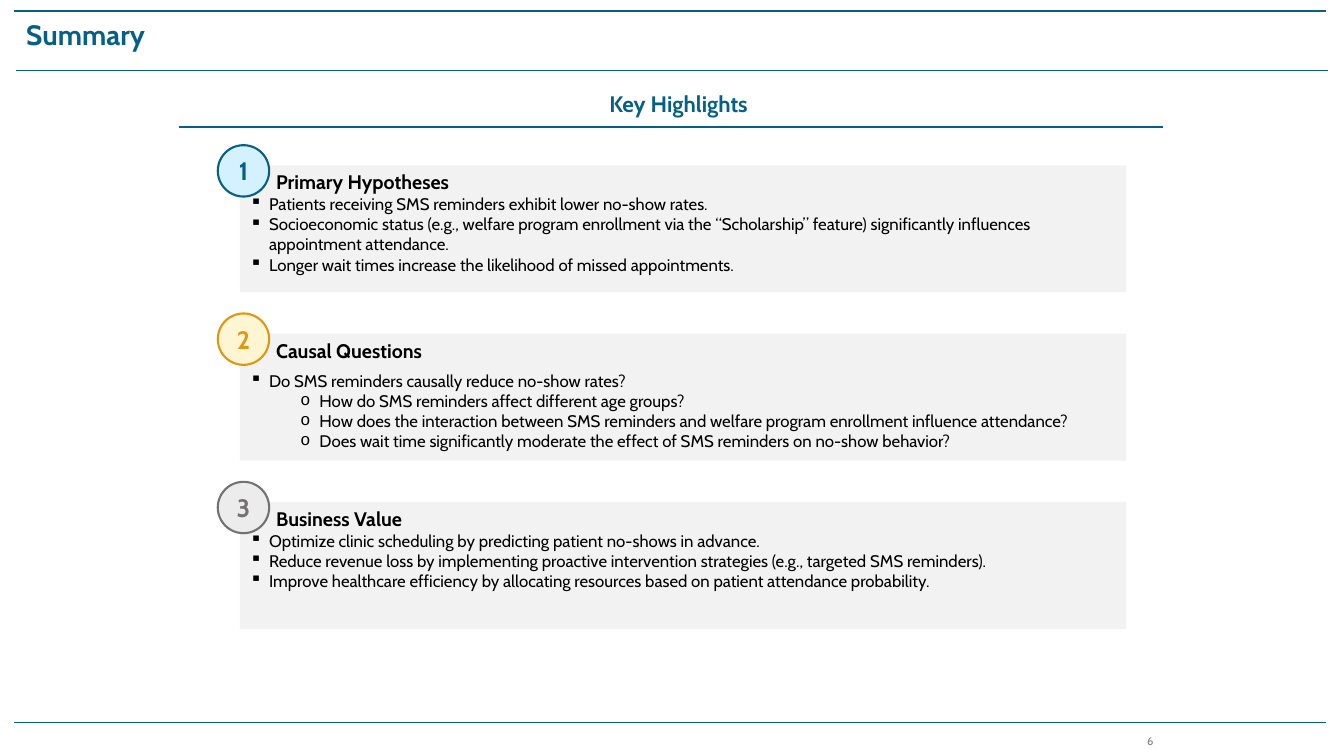
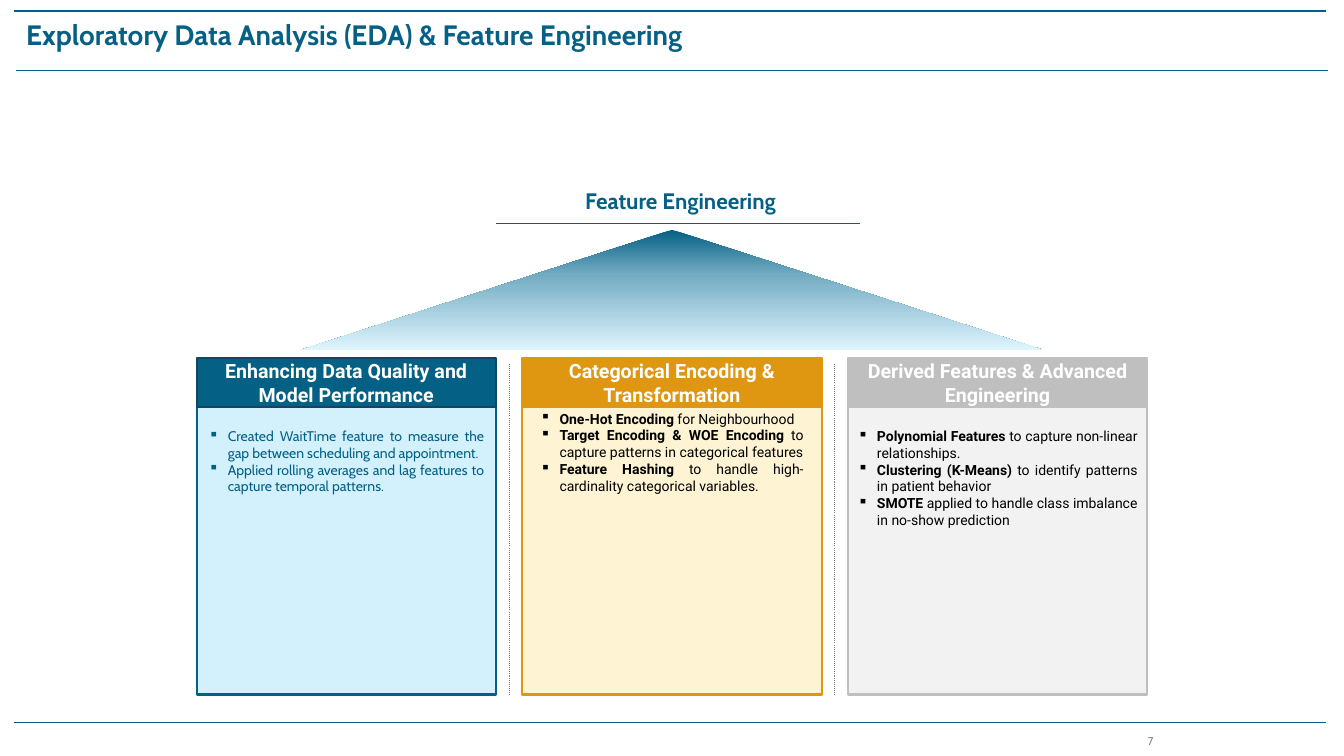
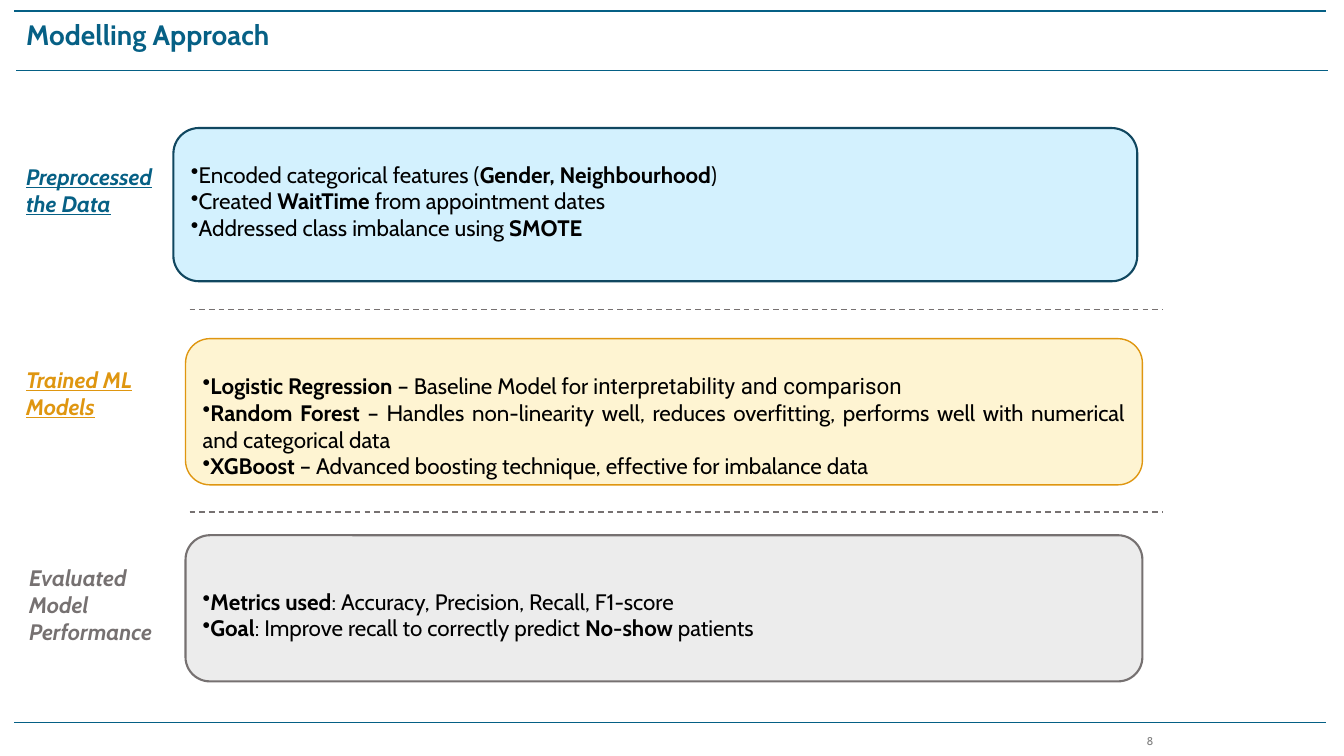
from copy import deepcopy
from dataclasses import dataclass, replace

from pptx import Presentation
from pptx.dml.color import RGBColor
from pptx.enum.dml import MSO_LINE_DASH_STYLE as Dash
from pptx.enum.shapes import MSO_CONNECTOR, MSO_SHAPE as Preset
from pptx.enum.text import MSO_ANCHOR as Anchor, MSO_AUTO_SIZE, PP_ALIGN as Align
from pptx.oxml.ns import qn
from pptx.oxml.xmlchemy import OxmlElement
from pptx.util import Pt

SCALE = 9144  # EMU in one px, 100 px to the inch

# Shared colours
BLUE, TITLE_BLUE, DARK_BLUE, PALE_BLUE = "056085", "066085", "104760", "D3F1FE"
AMBER, PALE_AMBER = "DF9610", "FEF4D2"
GREY, SILVER, PALE_GREY, LIGHT_GREY = "767171", "BFBFBF", "F2F2F2", "ECECEC"
NUMBER_GREY, BLACK, WHITE = "808080", "000000", "FFFFFF"


@dataclass(frozen=True)
class Style:
    size: int = 12
    color: str = BLACK
    font: str = "Cabin"
    bold: bool = False
    italic: bool = False
    underline: bool = False
    align: Align = Align.LEFT
    mark: str = ""
    mark_font: str = ""
    left: int = 0
    hang: int = 0
    before: int = 0


# Shared text styles
TITLE = Style(20, TITLE_BLUE, bold=True)
HEADING = Style(16, BLUE, bold=True, align=Align.CENTER)
PAGE_NUMBER = Style(8, NUMBER_GREY, align=Align.RIGHT)
CARD_HEAD = Style(14, bold=True, left=26)
CARD_ITEM = Style(12, mark="▪", left=19, hang=19)
CARD_SUBITEM = replace(CARD_ITEM, mark="o", mark_font="Courier New", left=69)
COLUMN_HEAD = Style(14, WHITE, "Roboto", bold=True, align=Align.CENTER)
COLUMN_ITEM = Style(10, font="Roboto", align=Align.JUSTIFY, mark="▪", left=19, hang=19)
STAGE_ITEM = Style(16, mark="•")


def px(length):
    return round(length * SCALE)


def rgb(value):
    return RGBColor.from_string(value)


# Text helpers
def add_span(para, text, style, bold):
    span = para.add_run()
    span.text = text
    font = span.font
    font.name, font.size, font.color.rgb = style.font, Pt(style.size), rgb(style.color)
    font.bold, font.italic, font.underline = bold, style.italic, style.underline


def write_para(frame, text, style):
    """Add one paragraph; parts between ** marks are bold."""
    para = frame.add_paragraph() if frame.text else frame.paragraphs[0]
    para.alignment = style.align
    props = para._p.get_or_add_pPr()
    props.set("marL", str(px(style.left)))
    props.set("indent", str(px(-style.hang)))
    if style.mark_font:
        face = OxmlElement("a:buFont")
        face.set("typeface", style.mark_font)
        props.append(face)
    bullet = OxmlElement("a:buChar" if style.mark else "a:buNone")
    if style.mark:
        bullet.set("char", style.mark)
    props.append(bullet)
    para.space_before = Pt(style.before)
    for index, part in enumerate(text.split("**")):
        if part:
            add_span(para, part, style, style.bold or index % 2 == 1)
    return para


def set_frame(box, anchor=Anchor.TOP, side=10, top=5, bottom=5):
    frame = box.text_frame
    frame.word_wrap = True
    frame.auto_size = MSO_AUTO_SIZE.NONE
    frame.vertical_anchor = anchor
    frame.margin_left = frame.margin_right = px(side)
    frame.margin_top, frame.margin_bottom = px(top), px(bottom)
    return frame


def add_text(page, text, left, top, width, height, style, anchor=Anchor.TOP):
    box = page.shapes.add_textbox(px(left), px(top), px(width), px(height))
    write_para(set_frame(box, anchor), text, style)


# Drawing helpers
def add_box(page, preset, left, top, width, height, fill, line="", weight=1.5, opacity=100):
    box = page.shapes.add_shape(preset, px(left), px(top), px(width), px(height))
    box.shadow.inherit = False
    box.fill.solid()
    box.fill.fore_color.rgb = rgb(fill)
    if opacity < 100:
        alpha = OxmlElement("a:alpha")
        alpha.set("val", str(opacity * 1000))
        box._element.spPr.find(qn("a:solidFill"))[0].append(alpha)
    if line:
        box.line.color.rgb = rgb(line)
        box.line.width = Pt(weight)
    else:
        box.line.fill.background()
    return box


def add_line(page, left, top, right, bottom, color=BLUE, weight=1, dash=None):
    line = page.shapes.add_connector(
        MSO_CONNECTOR.STRAIGHT, px(left), px(top), px(right), px(bottom))
    line.line.color.rgb = rgb(color)
    line.line.width = Pt(weight)
    if dash:
        line.line.dash_style = dash
    line._element.spPr.append(OxmlElement("a:effectLst"))


# Parts shared by the slides
def add_page(deck, title, number):
    page = deck.slides.add_slide(deck.slide_layouts[5])
    for left, top in ((14, 11), (14, 717), (16, 70)):
        add_line(page, left, top, left + 1301, top)
    box = page.shapes.title
    box.left, box.top, box.width, box.height = px(16), px(12), px(1299), px(56)
    write_para(set_frame(box), title, TITLE)
    add_text(page, str(number), 1117, 728, 37, 14, PAGE_NUMBER, Anchor.MIDDLE)
    return page


def add_heading(page, text, left, top, width, lead):
    """Centred heading over a rule that starts a little before it."""
    add_line(page, left - lead, top + 41, left + width, top + 41)
    add_text(page, text, left, top, width, 37, HEADING)


# Summary: numbered cards
def add_card(page, left, top, number, fill, color, heading, items):
    card = add_box(page, Preset.RECTANGLE, left, top, 879, 126, PALE_GREY)
    frame = set_frame(card)
    write_para(frame, heading, CARD_HEAD)
    for text, style in items:
        write_para(frame, text, style)
    badge = add_box(page, Preset.OVAL, left - 22, top - 20, 51, 51, fill, color)
    write_para(set_frame(badge, Anchor.MIDDLE), str(number),
               Style(18, color, bold=True, align=Align.CENTER))


def build_summary(deck):
    page = add_page(deck, "Summary", 6)
    add_heading(page, "Key Highlights", 193, 85, 960, 15)
    cards = [
        (PALE_BLUE, TITLE_BLUE, "Primary Hypotheses", [
            ("Patients receiving SMS reminders exhibit lower no-show rates.", CARD_ITEM),
            ("Socioeconomic status (e.g., welfare program enrollment via the “Scholarship” "
             "feature) significantly influences appointment attendance.", CARD_ITEM),
            ("Longer wait times increase the likelihood of missed appointments.", CARD_ITEM)]),
        ("FEF5D3", AMBER, "Causal Questions", [
            ("Do SMS reminders causally reduce no-show rates?", replace(CARD_ITEM, before=6)),
            ("How do SMS reminders affect different age groups?", CARD_SUBITEM),
            ("How does the interaction between SMS reminders and welfare program enrollment "
             "influence attendance?", CARD_SUBITEM),
            ("Does wait time significantly moderate the effect of SMS reminders on no-show "
             "behavior?", CARD_SUBITEM)]),
        (LIGHT_GREY, GREY, "Business Value", [
            ("Optimize clinic scheduling by predicting patient no-shows in advance.", CARD_ITEM),
            ("Reduce revenue loss by implementing proactive intervention strategies (e.g., "
             "targeted SMS reminders).", CARD_ITEM),
            ("Improve healthcare efficiency by allocating resources based on patient "
             "attendance probability.", CARD_ITEM)]),
    ]
    for index, card in enumerate(cards):
        add_card(page, 238, 164 + 167 * index, index + 1, *card)


# Feature engineering: roof over three columns
def add_roof(page, left, top, width, height):
    roof = add_box(page, Preset.ISOSCELES_TRIANGLE, left, top, width, height, BLUE)
    roof.fill.gradient()
    roof.fill.gradient_angle = 270
    stop_list = roof._element.spPr.find(".//" + qn("a:gsLst"))
    stop_list.insert(1, deepcopy(stop_list[0]))
    shades = ((0, BLUE), (0.37, "72ABC2"), (1, "DEF5FE"))
    for stop, (position, color) in zip(roof.fill.gradient_stops, shades):
        stop.position = position
        stop.color.rgb = rgb(color)


def add_column(page, left, top, width, heading, head_fill, head_line, fill, line, opacity,
               side, inset, style, items):
    body = add_box(page, Preset.RECTANGLE, left, top + 47, width, 287, fill, line,
                   opacity=opacity)
    frame = set_frame(body, side=side, top=inset)
    for item in items:
        write_para(frame, item, style)
    head = add_box(page, Preset.RECTANGLE, left, top, width, 49, head_fill, head_line)
    write_para(set_frame(head, Anchor.MIDDLE), heading, COLUMN_HEAD)


def build_features(deck):
    page = add_page(deck, "Exploratory Data Analysis (EDA) & Feature Engineering", 7)
    columns = [
        ("Enhancing Data Quality and Model Performance", BLUE, DARK_BLUE, "D3F1FD", BLUE, 100,
         12, 22, replace(COLUMN_ITEM, font="Cabin", color=BLUE), [
             "Created WaitTime feature to measure the gap between scheduling and appointment.",
             "Applied rolling averages and lag features to capture temporal patterns."]),
        ("Categorical Encoding & Transformation", AMBER, AMBER, PALE_AMBER, AMBER, 95,
         18, 5, COLUMN_ITEM, [
             "**One-Hot Encoding** for Neighbourhood",
             "**Target Encoding & WOE Encoding** to capture patterns in categorical features",
             "**Feature Hashing** to handle high-cardinality categorical variables."]),
        ("Derived Features & Advanced Engineering", SILVER, SILVER, PALE_GREY, SILVER, 95,
         10, 22, COLUMN_ITEM, [
             "**Polynomial Features** to capture non-linear relationships.",
             "**Clustering (K-Means)** to identify patterns in patient behavior",
             "**SMOTE** applied to handle class imbalance in no-show prediction"]),
    ]
    first, top, width, gap = 195, 355, 297, 26
    for index, column in enumerate(columns):
        left = first + index * (width + gap)
        add_column(page, left, top, width, *column)
        if index:
            middle = left - gap // 2
            add_line(page, middle, top + 6, middle, 689, NUMBER_GREY, 0.75, Dash.ROUND_DOT)
    add_roof(page, 299, 228, 735, 119)
    add_heading(page, "Feature Engineering", 497, 181, 356, 5)


# Modelling approach: labelled stages
def add_stage(page, left, top, width, height, fill, line, weight, inset, style, items):
    box = add_box(page, Preset.ROUNDED_RECTANGLE, left, top, width, height, fill, line, weight)
    frame = set_frame(box, top=inset, bottom=0)
    return [write_para(frame, item, style) for item in items]


def build_modelling(deck):
    page = add_page(deck, "Modelling Approach", 8)
    for top in (307, 508):
        add_line(page, 188, top, 1153, top, GREY, 1, Dash.DASH)

    label = Style(16, TITLE_BLUE, bold=True, italic=True, underline=True)
    add_text(page, "Preprocessed the Data", 16, 157, 159, 64, label)
    add_text(page, "Trained ML Models", 16, 358, 129, 64, replace(label, color=AMBER))
    add_text(page, "Evaluated Model Performance", 19, 555, 162, 91,
             replace(label, color=GREY, underline=False))

    add_stage(page, 172, 127, 956, 152, PALE_BLUE, DARK_BLUE, 1.5, 25, STAGE_ITEM, [
        "Encoded categorical features (**Gender, Neighbourhood**)",
        "Created **WaitTime** from appointment dates",
        "Addressed class imbalance using **SMOTE**"])
    models = add_stage(
        page, 184, 336, 949, 145, PALE_AMBER, AMBER, 1, 26,
        replace(STAGE_ITEM, align=Align.JUSTIFY), [
            "**Logistic Regression** – Baseline Model for i",
            "**Random Forest** – Handles non-linearity well, reduces overfitting, performs well "
            "with numerical and categorical data",
            "**XGBoost** – Advanced boosting technique, effective for imbalance data"])
    add_span(models[0], "nterpretability and comparison", replace(STAGE_ITEM, font="Roboto"),
             False)
    add_stage(page, 184, 531, 949, 145, LIGHT_GREY, GREY, 1.5, 45, STAGE_ITEM, [
        "**Metrics used**: Accuracy, Precision, Recall, F1-score",
        "**Goal**: Improve recall to correctly predict **No-show** patients"])


def main():
    deck = Presentation()
    deck.slide_width, deck.slide_height = px(1333), px(750)
    build_summary(deck)
    build_features(deck)
    build_modelling(deck)
    deck.save("out.pptx")


if __name__ == "__main__":
    main()
